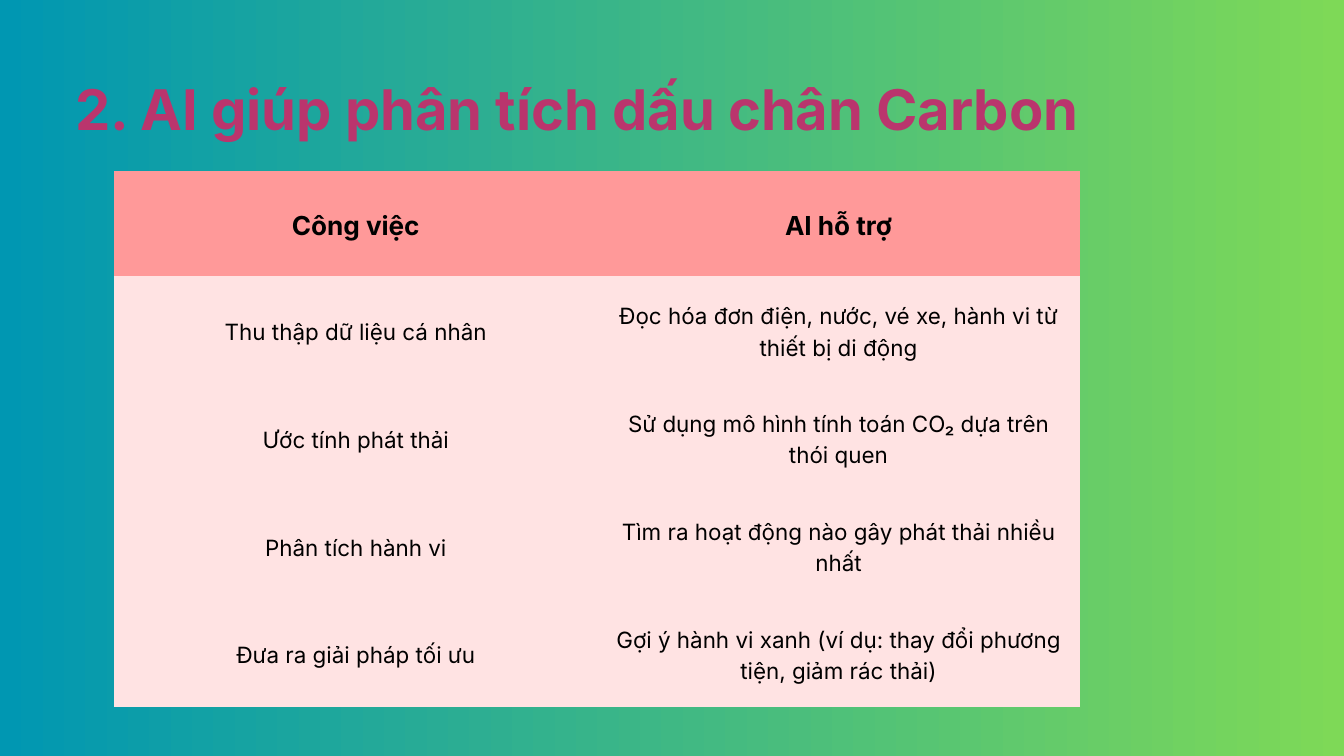
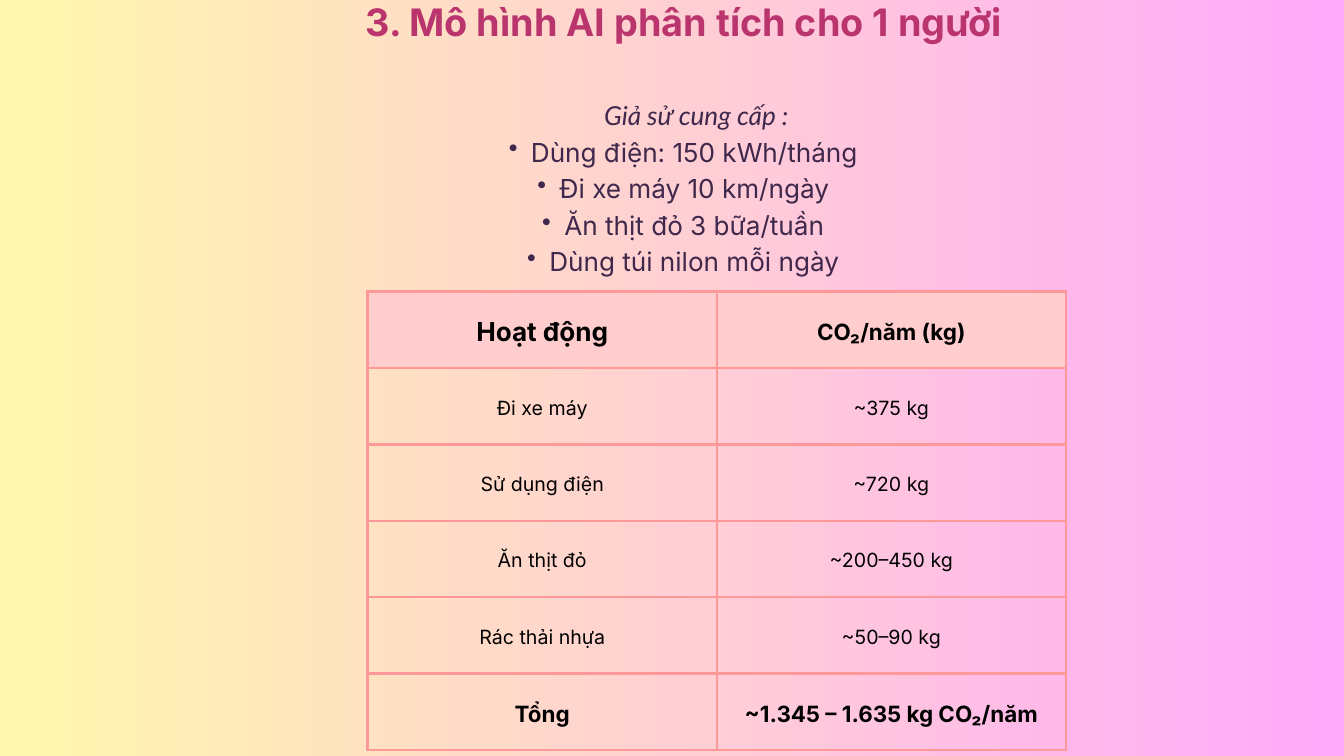
"""Build two slides on analysing a carbon footprint with AI."""
import lxml.etree
import pptx
import pptx.util
import pptx.dml.color
import pptx.enum.text
import pptx.oxml.ns

Pt = pptx.util.Pt
qn = pptx.oxml.ns.qn
align = pptx.enum.text.PP_ALIGN
anchor = pptx.enum.text.MSO_ANCHOR
inks = {
    "title": "BA356D", "plum": "3F284B", "black": "000000",
    "coral": "FF9999", "rose": "FFCDCD", "blush": "FFE3E3",
    "teal": "0097B2", "green": "7ED957", "cream": "FFF7AD", "pink": "FFA9F9",
}
flush = {"margin_left": 0, "margin_right": 0, "margin_top": 0, "margin_bottom": 0,
         "word_wrap": True, "vertical_anchor": anchor.TOP,
         "auto_size": pptx.enum.text.MSO_AUTO_SIZE.NONE}
inset = {"margin_left": Pt(15), "margin_right": Pt(15), "margin_top": Pt(15),
         "margin_bottom": Pt(15), "vertical_anchor": anchor.MIDDLE}
center = {"alignment": align.CENTER}
head = {"size": Pt(28), "bold": True}
strong = {"size": Pt(24), "bold": True}
body = {"size": Pt(24), "bold": False}
small = {"size": Pt(21), "bold": False}


def put(thing, values):
    for name, value in values.items():
        setattr(thing, name, value)


def write(para, text, ink, form, lead=1.4, side=center):
    run = para.add_run()
    run.text = text
    put(run.font, {"name": "Inter", **form})
    run.font.color.rgb = pptx.dml.color.RGBColor.from_string(inks[ink])
    put(para, {"line_spacing": Pt(form["size"].pt * lead), **side})


pages = [
    {
        "grade": ("teal", "green"),
        "title": "2. AI giúp phân tích dấu chân Carbon",
        "place": (80.5, 80, 1197.5, 72.5), "size": 60, "side": align.LEFT,
        "grid": (122.5, 183, 1034.5), "tall": [113] + [115.5] * 4,
        "fills": ["coral"] + ["blush"] * 4, "edge": 0,
        "forms": [(head, head)] + [(body, body)] * 4,
        "rows": [
            ("Công việc", "AI hỗ trợ"),
            ("Thu thập dữ liệu cá nhân",
             "Đọc hóa đơn điện, nước, vé xe, hành vi từ thiết bị di động"),
            ("Ước tính phát thải", "Sử dụng mô hình tính toán CO₂ dựa trên thói quen"),
            ("Phân tích hành vi", "Tìm ra hoạt động nào gây phát thải nhiều nhất"),
            ("Đưa ra giải pháp tối ưu",
             "Gợi ý hành vi xanh (ví dụ: thay đổi phương tiện, giảm rác thải)"),
        ],
    },
    {
        "grade": ("cream", "pink"),
        "title": "3. Mô hình AI phân tích cho 1 người",
        "place": (203, -1, 1060, 48.5), "size": 40.5, "side": align.CENTER,
        "grid": (394, 312.5, 748), "tall": [81.85] * 6,
        "fills": ["rose"] + [None] * 5, "edge": 3,
        "forms": [(head, strong)] + [(small, small)] * 4 + [(strong, strong)],
        "rows": [
            ("Hoạt động", "CO₂/năm (kg)"),
            ("Đi xe máy", "~375 kg"),
            ("Sử dụng điện", "~720 kg"),
            ("Ăn thịt đỏ", "~200–450 kg"),
            ("Rác thải nhựa", "~50–90 kg"),
            ("Tổng", "~1.345 – 1.635 kg CO₂/năm"),
        ],
    },
]
facts = ["Dùng điện: 150 kWh/tháng", "Đi xe máy 10 km/ngày",
         "Ăn thịt đỏ 3 bữa/tuần", "Dùng túi nilon mỗi ngày"]

deck = pptx.Presentation()
put(deck, {"slide_width": Pt(1440), "slide_height": Pt(810)})

for page in pages:
    slide = deck.slides.add_slide(deck.slide_layouts[5])
    back = slide.background.fill
    back.gradient()
    back.gradient_angle = 0
    for stop, ink, spot in zip(back.gradient_stops, page["grade"], (0, 1)):
        stop.color.rgb = pptx.dml.color.RGBColor.from_string(inks[ink])
        stop.position = spot

    title = slide.shapes.title
    put(title, dict(zip(("left", "top", "width", "height"), map(Pt, page["place"]))))
    put(title.text_frame, flush)
    write(title.text_frame.paragraphs[0], page["title"], "title",
          {"size": Pt(page["size"]), "bold": True}, 1.2, {"alignment": page["side"]})

    left, top, wide = page["grid"]
    table = slide.shapes.add_table(len(page["rows"]), 2, Pt(left), Pt(top),
                                   Pt(wide), Pt(sum(page["tall"]))).table
    put(table, {"first_row": False, "horz_banding": False})
    lines = zip(table.rows, page["tall"], page["rows"], page["forms"], page["fills"])
    for row, tall, texts, forms, fill in lines:
        row.height = Pt(tall)
        for cell, text, form in zip(row.cells, texts, forms):
            put(cell, inset)
            props = cell._tc.get_or_add_tcPr()
            for tag in ("a:lnL", "a:lnR", "a:lnT", "a:lnB"):
                line = lxml.etree.SubElement(props, qn(tag), w=str(Pt(page["edge"])))
                if page["edge"]:
                    paint = lxml.etree.SubElement(line, qn("a:solidFill"))
                    lxml.etree.SubElement(paint, qn("a:srgbClr"), val=inks["coral"])
                else:
                    lxml.etree.SubElement(line, qn("a:noFill"))
            if fill:
                cell.fill.solid()
                cell.fill.fore_color.rgb = pptx.dml.color.RGBColor.from_string(inks[fill])
            else:
                cell.fill.background()
            write(cell.text_frame.paragraphs[0], text, "black", form)

frame = slide.shapes.add_textbox(Pt(266.5), Pt(101), Pt(907), Pt(193.5)).text_frame
put(frame, flush)
lead = frame.paragraphs[0]
lead._p.get_or_add_pPr().set("marL", str(Pt(52)))
write(lead, "Giả sử cung cấp :", "plum", {"size": Pt(28), "name": "Lato", "italic": True})
for fact in facts:
    para = frame.add_paragraph()
    props = para._p.get_or_add_pPr()
    put(para, {"level": 1})
    props.set("marL", str(Pt(47.5)))
    props.set("indent", str(Pt(-23.75)))
    lxml.etree.SubElement(props, qn("a:buChar"), char="•")
    write(para, fact, "plum", {"size": Pt(28)})

deck.save("out.pptx")
